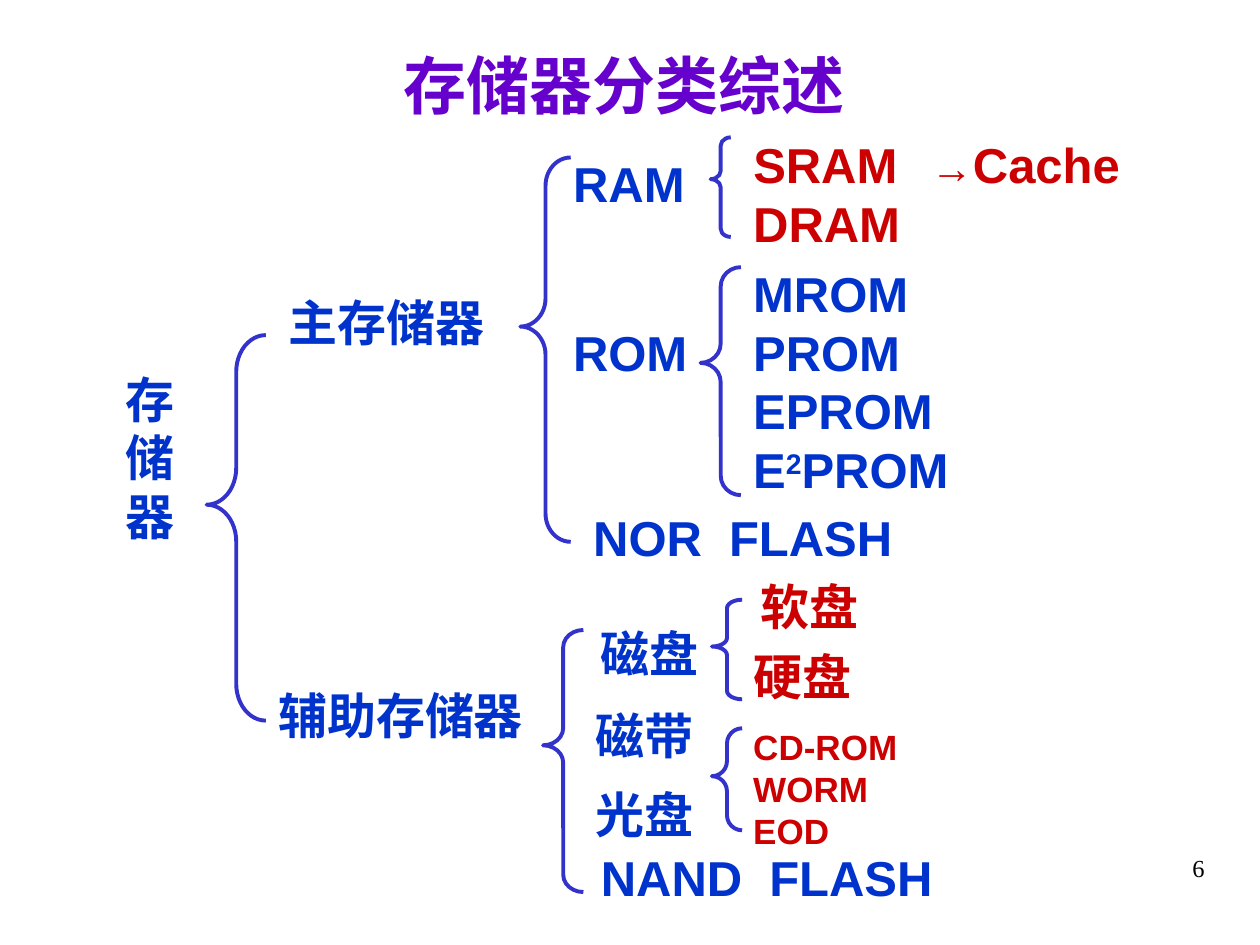
from pptx import Presentation
from pptx.dml.color import RGBColor
from pptx.enum.shapes import MSO_SHAPE
from pptx.enum.text import MSO_ANCHOR, PP_ALIGN
from pptx.util import Inches, Pt

BRACE = MSO_SHAPE.LEFT_BRACE
MIDDLE = MSO_ANCHOR.MIDDLE
LEFT, CENTER, RIGHT = PP_ALIGN.LEFT, PP_ALIGN.CENTER, PP_ALIGN.RIGHT

BLUE, RED, PURPLE, BLACK, BRACE_BLUE = "0033CC", "CC0000", "6600CC", "000000", "3333CC"
ROW = 0.57  # height of a one-line label

LABEL = {"name": "Arial", "size": 28, "bold": True, "color": BLUE}
MEMBER = {**LABEL, "color": RED}
SMALL_MEMBER = {**MEMBER, "size": 20}
ARROW = {**MEMBER, "name": "Times New Roman", "size": 24}
TITLE = {"name": "Times New Roman", "size": 36, "bold": True, "color": PURPLE}
PAGE_NUMBER = {"name": "Times New Roman", "size": 14, "bold": False, "color": BLACK}
SUPERSCRIPT = {**LABEL, "baseline": "30000"}

# Left edges of the text columns
ROOT, KIND, MAIN_TYPE, AUX_TYPE, MEMBERS, CACHE = 0.9, 2.15, 4.45, 4.65, 5.88, 7.29

# One-line labels: text, left, top, width, format, wraps
LABELS = [
    ("主存储器", KIND + 0.04, 2.27, 1.81, LABEL, True),
    ("辅助存储器", KIND - 0.04, 5.39, 2.15, LABEL, False),
    ("RAM", MAIN_TYPE, 1.17, 1.09, LABEL, False),
    ("ROM", MAIN_TYPE, 2.51, 1.11, LABEL, False),
    ("NOR  FLASH", AUX_TYPE - 0.04, 3.98, 2.61, LABEL, True),
    ("磁盘", AUX_TYPE + 0.02, 4.9, 0.98, LABEL, False),
    ("磁带", AUX_TYPE - 0.02, 5.55, 0.98, LABEL, False),
    ("光盘", AUX_TYPE - 0.02, 6.18, 0.98, LABEL, False),
    ("NAND  FLASH", AUX_TYPE + 0.02, 6.68, 4.08, LABEL, True),
    ("SRAM", MEMBERS, 1.02, 1.35, MEMBER, False),
    ("DRAM", MEMBERS, 1.49, 1.37, MEMBER, False),
    ("软盘", MEMBERS + 0.06, 4.53, 0.98, MEMBER, False),
    ("硬盘", MEMBERS, 5.08, 0.98, MEMBER, True),
]

ROM_MEMBERS = [
    [("MROM", LABEL)],
    [("PROM", LABEL)],
    [("EPROM", LABEL)],
    [("E", LABEL), ("2", SUPERSCRIPT), ("PROM", LABEL)],
]
OPTICAL_MEMBERS = [[(name, SMALL_MEMBER)] for name in ("CD-ROM", "WORM", "EOD")]

# Braces: left, top, width, height, curl, position of the point
BRACES = [
    (1.64, 2.66, 0.47, 3.06, 0.62, 0.44),
    (4.13, 1.25, 0.40, 3.05, 0.56, 0.44),
    (4.31, 5.00, 0.32, 2.08, 0.43, 0.44),
    (5.64, 1.09, 0.16, 0.79, 0.41, 0.42),
    (5.56, 2.12, 0.32, 1.81, 0.48, 0.42),
    (5.65, 4.76, 0.24, 0.79, 0.28, 0.47),
    (5.65, 5.78, 0.24, 0.81, 0.50, 0.47),
]


def rgb(value):
    return RGBColor.from_string(value)


def add_span(para, text, style):
    span = para.add_run()
    span.text = text
    for key, value in style.items():
        if key == "color":
            span.font.color.rgb = rgb(value)
        elif key == "baseline":
            span._r.get_or_add_rPr().set(key, value)
        else:
            setattr(span.font, key, Pt(value) if key == "size" else value)


def add_text(page, lines, left, top, width, height, wrap=True, align=LEFT):
    """Add a text box; each line is a list of (text, format) pairs."""
    box = page.shapes.add_textbox(*map(Inches, (left, top, width, height)))
    frame = box.text_frame
    frame.word_wrap = wrap
    for index, line in enumerate(lines):
        para = frame.add_paragraph() if index else frame.paragraphs[0]
        para.alignment = align
        for text, style in line:
            add_span(para, text, style)
    return box


def add_brace(page, left, top, width, height, curl, point):
    brace = page.shapes.add_shape(BRACE, *map(Inches, (left, top, width, height)))
    brace.shadow.inherit = False
    brace.fill.background()
    brace.line.color.rgb = rgb(BRACE_BLUE)
    brace.line.width = Pt(2.25)
    brace.adjustments[0] = curl
    brace.adjustments[1] = point


def main():
    deck = Presentation()
    deck.slide_width, deck.slide_height = Inches(10), Inches(7.5)
    page = deck.slides.add_slide(deck.slide_layouts[6])

    add_text(page, [[("6", PAGE_NUMBER)]], 7.58, 6.72, 2.08, 0.5, align=RIGHT)
    title = add_text(page, [[("存储器分类综述", TITLE)]], 0.7, 0.31, 8.5, 0.72, align=CENTER)
    title.text_frame.vertical_anchor = MIDDLE

    add_text(page, [[("存储器", LABEL)]], ROOT, 2.88, 0.68, 1.5)
    for text, left, top, width, style, wrap in LABELS:
        add_text(page, [[(text, style)]], left, top, width, ROW, wrap)
    add_text(page, [[("→", ARROW), ("Cache", MEMBER)]], CACHE, 1.02, 1.73, ROW)
    add_text(page, ROM_MEMBERS, MEMBERS, 2.04, 1.86, 1.99)
    add_text(page, OPTICAL_MEMBERS, MEMBERS, 5.71, 1.8, 1.11)

    for brace in BRACES:
        add_brace(page, *brace)

    deck.save("out.pptx")


if __name__ == "__main__":
    main()
